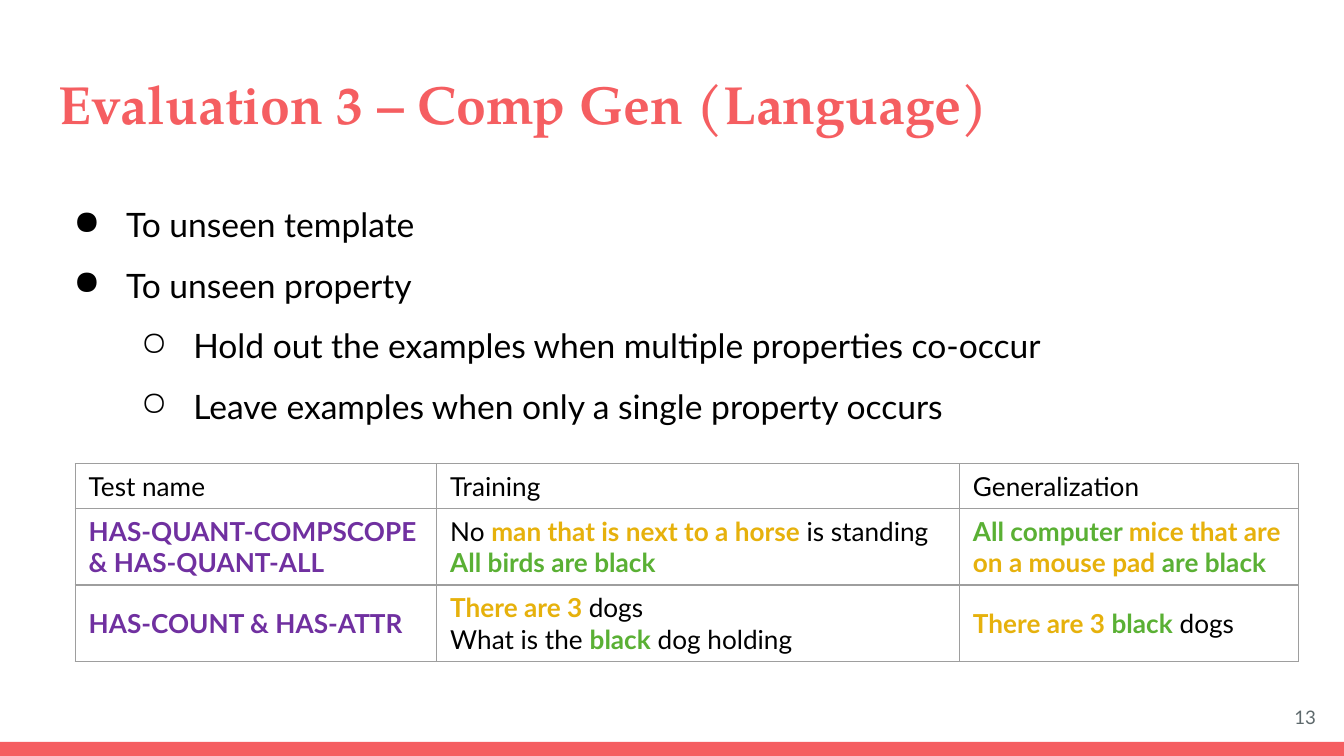
from lxml import etree
from pptx import Presentation
from pptx.dml.color import RGBColor
from pptx.enum import shapes, text
from pptx.oxml.ns import qn
from pptx.util import Inches, Pt

COLORS = {
    "accent": "F55E61", "body": "000000", "number": "5E696C", "border": "9E9E9E",
    "test": "7030A0", "yellow": "E6B10C", "green": "5AB034",
}
BODY_FONT = "Lato"
TITLE = "Evaluation 3 – Comp Gen (Language)"
PAGE_NUMBER = "13"
BULLETS = [  # level, text
    (0, "To unseen template"),
    (0, "To unseen property"),
    (1, "Hold out the examples when multiple properties co-occur"),
    (1, "Leave examples when only a single property occurs"),
]
BULLET_MARKS = "●○"
# Each cell is a list of lines, each line a list of (text, colour) runs.
TABLE = [
    [[[("Test name", "body")]], [[("Training", "body")]], [[("Generalization", "body")]]],
    [
        [[("HAS-QUANT-COMPSCOPE & HAS-QUANT-ALL", "test")]],
        [
            [("No ", "body"), ("man that is next to a horse ", "yellow"), ("is standing", "body")],
            [("All birds are black", "green")],
        ],
        [[("All computer ", "green"), ("mice that are on a mouse pad ", "yellow"),
          ("are black", "green")]],
    ],
    [
        [[("HAS-COUNT & HAS-ATTR", "test")]],
        [
            [("There are 3 ", "yellow"), ("dogs", "body")],
            [("What is the ", "body"), ("black", "green"), (" dog holding", "body")],
        ],
        [[("There are 3 ", "yellow"), ("black", "green"), (" dogs", "body")]],
    ],
]
COLUMN_WIDTHS = [2.69, 3.89, 2.52]
ROW_HEIGHTS = [0.33, 0.57, 0.57]


def rgb(name):
    return RGBColor.from_string(COLORS[name])


def set_font(font, size, color, name=BODY_FONT, bold=False):
    font.name, font.size, font.bold = name, Pt(size), bold
    font.color.rgb = rgb(color)


def add_text_box(slide, left, top, width, height):
    box = slide.shapes.add_textbox(*map(Inches, (left, top, width, height)))
    frame = box.text_frame
    frame.word_wrap = True
    frame.margin_left = frame.margin_right = Inches(0.1)
    frame.margin_top = frame.margin_bottom = Inches(0.1)
    return frame


def paragraph_at(frame, index):
    return frame.add_paragraph() if index else frame.paragraphs[0]


def set_bullet(paragraph, level):
    properties = paragraph._p.get_or_add_pPr()
    properties.set("marL", str(Inches(0.5 * (level + 1))))
    properties.set("indent", str(Inches(-0.39)))
    color = etree.SubElement(properties, qn("a:buClr"))
    etree.SubElement(color, qn("a:srgbClr"), val=COLORS["body"])
    etree.SubElement(properties, qn("a:buChar"), char=BULLET_MARKS[level])


def set_borders(cell):
    properties = cell._tc.get_or_add_tcPr()
    for position, side in enumerate(("lnL", "lnR", "lnT", "lnB")):
        line = etree.Element(qn(f"a:{side}"), w=str(Pt(0.75)))
        fill = etree.SubElement(line, qn("a:solidFill"))
        etree.SubElement(fill, qn("a:srgbClr"), val=COLORS["border"])
        properties.insert(position, line)


def fill_cell(cell, lines):
    cell.fill.background()
    set_borders(cell)
    cell.vertical_anchor = text.MSO_ANCHOR.MIDDLE
    for index, runs in enumerate(lines):
        paragraph = paragraph_at(cell.text_frame, index)
        for words, color in runs:
            run = paragraph.add_run()
            run.text = words
            set_font(run.font, 14, color, bold=color != "body")


def add_bullets(slide):
    frame = add_text_box(slide, 0.34, 1.27, 8.83, 2.02)
    for index, (level, words) in enumerate(BULLETS):
        paragraph = paragraph_at(frame, index)
        paragraph.text = words
        paragraph.level = level
        paragraph.line_spacing = 1.5
        set_bullet(paragraph, level)
        set_font(paragraph.font, 18, "body")


def add_test_table(slide):
    frame = slide.shapes.add_table(
        len(TABLE), len(COLUMN_WIDTHS), Inches(0.56), Inches(3.45),
        Inches(sum(COLUMN_WIDTHS)), Inches(sum(ROW_HEIGHTS)))
    table = frame.table
    table.first_row = table.horz_banding = False
    for column, width in zip(table.columns, COLUMN_WIDTHS):
        column.width = Inches(width)
    for row, height, contents in zip(table.rows, ROW_HEIGHTS, TABLE):
        row.height = Inches(height)
        for cell, lines in zip(row.cells, contents):
            fill_cell(cell, lines)


def main():
    presentation = Presentation()
    presentation.slide_width, presentation.slide_height = Inches(10), Inches(5.625)
    blank = presentation.slide_layouts[6]
    slide = presentation.slides.add_slide(blank)

    bar = slide.shapes.add_shape(
        shapes.MSO_SHAPE.RECTANGLE, 0, Inches(5.52), Inches(10), Inches(0.11))
    bar.shadow.inherit = False
    bar.fill.solid()
    bar.fill.fore_color.rgb = rgb("accent")
    bar.line.fill.background()

    title = add_text_box(slide, 0.34, 0.43, 9.32, 0.68).paragraphs[0]
    title.text = TITLE
    set_font(title.font, 28.8, "accent", "TeX Gyre Pagella", bold=True)

    number_frame = add_text_box(slide, 9.29, 5.12, 0.6, 0.43)
    number_frame.vertical_anchor = text.MSO_ANCHOR.MIDDLE
    number = number_frame.paragraphs[0]
    number.text = PAGE_NUMBER
    number.alignment = text.PP_ALIGN.RIGHT
    set_font(number.font, 10, "number")

    add_bullets(slide)
    add_test_table(slide)
    presentation.save("out.pptx")


if __name__ == "__main__":
    main()
